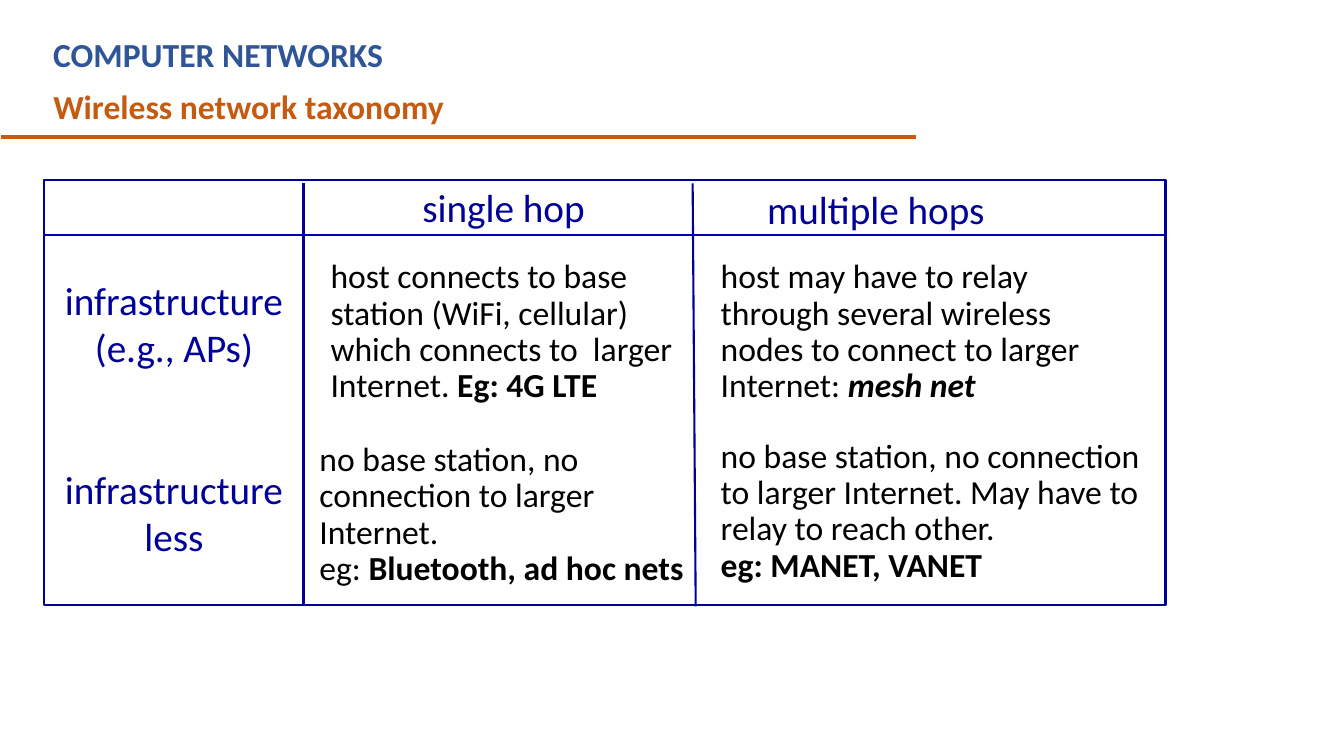
from pptx import Presentation
from pptx.dml.color import RGBColor
from pptx.enum.shapes import MSO_CONNECTOR, MSO_SHAPE
from pptx.enum.text import MSO_AUTO_SIZE, PP_ALIGN
from pptx.oxml.ns import qn
from pptx.util import Inches, Pt
from lxml import etree

RECTANGLE = MSO_SHAPE.RECTANGLE
STRAIGHT = MSO_CONNECTOR.STRAIGHT
LEFT, CENTER = PP_ALIGN.LEFT, PP_ALIGN.CENTER
NO_AUTOFIT = MSO_AUTO_SIZE.NONE

COLORS = {
    "course": "2F5597",
    "accent": "C55A11",
    "frame": "000099",
    "header_rule": "0000A8",
    "body": "000000",
}
FONT = "Calibri"
PAGE_WIDTH, PAGE_HEIGHT = 13.33, 7.5
HEADING_BOX = (0, 0.29, PAGE_WIDTH, 1.07)
TAXONOMY_BOX = (0.44, 1.79, 11.12, 4.21)
LABEL_COLUMN, SINGLE_COLUMN, MULTIPLE_COLUMN = 0.09, 2.57, 6.43
HEADER_HEIGHT = 0.54

ROW_LABELS = [
    (0.9, True, [["infrastructure"], ["(e.g., APs)"]]),
    (2.78, True, [["infrastructure less"]]),
]
COLUMN_TITLES = [
    (3.65, -0.02, 1.83, "single hop"),
    (7.07, 0, 2.39, "multiple hops"),
]
CELLS = [
    (2.74, 0.74, 3.59, [
        ["host connects to base station (WiFi, cellular) which connects to  larger Internet. ",
         ("Eg: 4G LTE", "b")],
    ]),
    (2.63, 2.55, 3.9, [
        ["no base station, no connection to larger Internet."],
        ["eg: ", ("Bluetooth, ad hoc nets", "b")],
    ]),
    (6.61, 0.74, 4.18, [
        ["host may have to relay through several wireless nodes to connect to larger"],
        ["Internet: ", ("mesh net", "bi")],
    ]),
    (6.61, 2.52, 4.38, [
        ["no base station, no connection to larger Internet. May have to relay to reach other."],
        [("eg: MANET, VANET", "b")],
    ]),
]


def rgb(name):
    return RGBColor.from_string(COLORS[name])


def add_text(page, box, paragraphs, size, color, align=LEFT, spacing=None, wrap=True):
    frame = page.shapes.add_textbox(*map(Inches, box)).text_frame
    frame.word_wrap = wrap
    frame.auto_size = NO_AUTOFIT
    for index, runs in enumerate(paragraphs):
        para = frame.add_paragraph() if index else frame.paragraphs[0]
        para.alignment = align
        if spacing:
            para.line_spacing = spacing
        for run in runs:
            text, style = run if isinstance(run, tuple) else (run, "")
            span = para.add_run()
            span.text = text
            span.font.name = FONT
            span.font.size = Pt(size)
            span.font.bold = "b" in style
            span.font.italic = "i" in style
            span.font.color.rgb = rgb(color)


def add_rule(page, start, end, color, width):
    rule = page.shapes.add_connector(STRAIGHT, *map(Inches, (*start, *end)))
    rule.line.color.rgb = rgb(color)
    rule.line.width = Pt(width)
    etree.SubElement(rule._element.spPr, qn("a:effectLst"))


def add_heading(page, box):
    left, top, width, height = box
    add_text(page, (left + 0.43, top, 8.2, 0.5),
             [[("COMPUTER NETWORKS", "b")]], 24, "course")
    add_text(page, (left + 0.43, top + 0.51, 4.12, 0.5),
             [[("Wireless network taxonomy", "b")]], 24, "accent", wrap=False)
    bottom = top + height
    add_rule(page, (left + 0.01, bottom), (left + 9.09, bottom), "accent", 3)


def add_taxonomy(page, box):
    left, top, width, height = box
    for x, y, title_width, title in COLUMN_TITLES:
        add_text(page, (left + x, top + y, title_width, 0.57),
                 [[title]], 28, "frame", wrap=False)
    for y, wrap, paragraphs in ROW_LABELS:
        add_text(page, (left + LABEL_COLUMN, top + y, 2.39, 1.04),
                 paragraphs, 28, "frame", align=CENTER, wrap=wrap)
    for x, y, cell_width, paragraphs in CELLS:
        add_text(page, (left + x, top + y, cell_width, 1.56),
                 paragraphs, 24, "body", spacing=0.9)

    frame = page.shapes.add_shape(RECTANGLE, *map(Inches, box))
    frame.shadow.inherit = False
    frame.fill.background()
    frame.line.color.rgb = rgb("frame")
    frame.line.width = Pt(1.5)
    for x, slant in ((SINGLE_COLUMN, 0), (MULTIPLE_COLUMN, 0.03)):
        add_rule(page, (left + x, top + 0.03), (left + x + slant, top + height + slant / 2),
                 "frame", 1.5)
    header_bottom = top + HEADER_HEIGHT
    add_rule(page, (left, header_bottom), (left + width, header_bottom), "header_rule", 1.75)


def main():
    deck = Presentation()
    deck.slide_width, deck.slide_height = Inches(PAGE_WIDTH), Inches(PAGE_HEIGHT)
    page = deck.slides.add_slide(deck.slide_layouts[6])
    add_heading(page, HEADING_BOX)
    add_taxonomy(page, TAXONOMY_BOX)
    deck.save("out.pptx")


if __name__ == "__main__":
    main()
